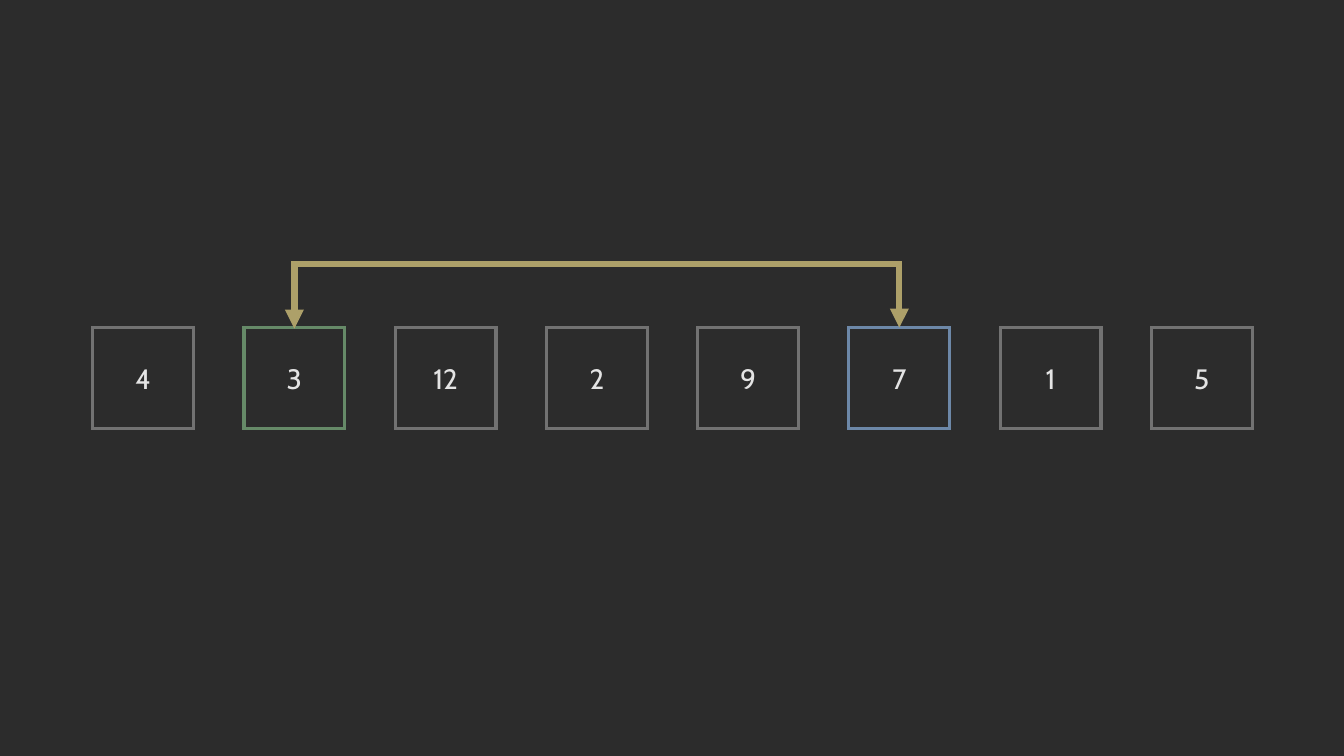
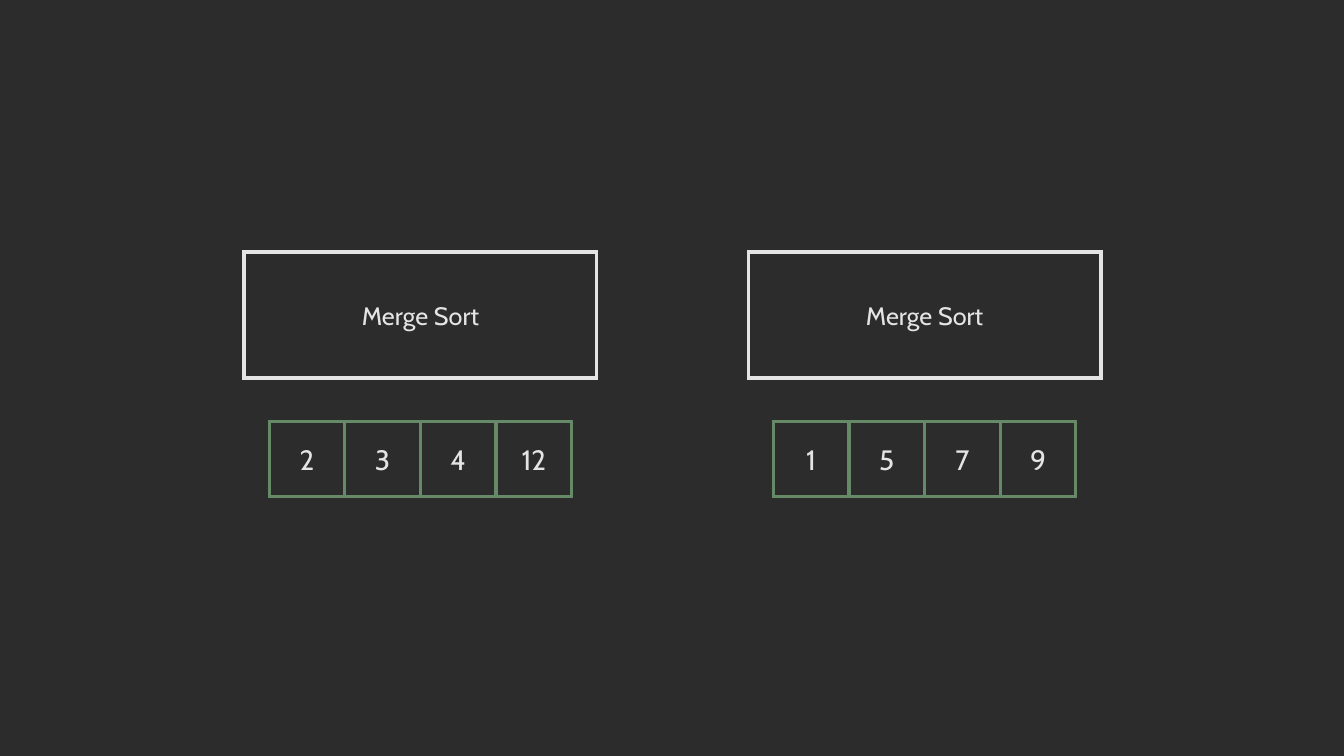
from dataclasses import dataclass

from lxml.etree import SubElement
from pptx import Presentation
from pptx.dml.color import RGBColor
from pptx.dml.line import LineFormat
from pptx.enum.shapes import MSO_CONNECTOR, MSO_SHAPE
from pptx.enum.text import MSO_ANCHOR, PP_ALIGN
from pptx.oxml.ns import qn
from pptx.slide import Slide
from pptx.util import Inches, Pt

COLORS = {
    "background": "2C2C2C",
    "text": "E4E4E4",
    "plain": "727272",
    "green": "668A68",
    "blue": "6D88A8",
    "arrow": "ADA069",
}
FONT_FORMAT = {"name": "Cabin", "bold": False}
FRAME_FORMAT = {"vertical_anchor": MSO_ANCHOR.MIDDLE, "word_wrap": True}
BOX_LINE_WIDTH = 2.25
ARROW_LINE_WIDTH = 4.5


@dataclass(frozen=True)
class Box:
    text: str
    left: float
    top: float
    width: float
    height: float
    outline: str
    fill: str | None = None
    font_size: float = 20


@dataclass(frozen=True)
class CellRow:
    values: tuple[int, ...]
    left: float
    top: float
    size: float
    pitch: float
    outline: str
    highlights: tuple[tuple[int, str], ...] = ()


@dataclass(frozen=True)
class SwapArrow:
    start_x: float
    end_x: float
    start_y: float
    end_y: float
    bend_y: float


def color(name: str) -> RGBColor:
    return RGBColor.from_string(COLORS[name])


def apply_format(target: object, values: dict[str, object]) -> None:
    for name, value in values.items():
        setattr(target, name, value)


def style_line(line: LineFormat, color_name: str, width: float) -> None:
    line.color.rgb = color(color_name)
    line.width = Pt(width)
    SubElement(line._get_or_add_ln(), qn("a:miter"), lim="800000")


def draw_box(slide: Slide, box: Box) -> None:
    shape = slide.shapes.add_shape(
        MSO_SHAPE.RECTANGLE,
        Inches(box.left), Inches(box.top), Inches(box.width), Inches(box.height),
    )
    shape.shadow.inherit = False
    if box.fill:
        shape.fill.solid()
        shape.fill.fore_color.rgb = color(box.fill)
    else:
        shape.fill.background()
    style_line(shape.line, box.outline, BOX_LINE_WIDTH)
    apply_format(shape.text_frame, FRAME_FORMAT)
    paragraph = shape.text_frame.paragraphs[0]
    paragraph.alignment = PP_ALIGN.CENTER
    run = paragraph.add_run()
    run.text = box.text
    apply_format(run.font, FONT_FORMAT | {"size": Pt(box.font_size)})
    run.font.color.rgb = color("text")


def draw_cells(slide: Slide, row: CellRow) -> None:
    highlights = dict(row.highlights)
    for index, value in enumerate(row.values):
        left = row.left + index * row.pitch
        outline = highlights.get(value, row.outline)
        draw_box(slide, Box(str(value), left, row.top, row.size, row.size, outline))


def draw_swap_arrow(slide: Slide, arrow: SwapArrow) -> None:
    drop = arrow.start_y - arrow.end_y
    span = arrow.end_x - arrow.start_x
    left = (arrow.start_x + arrow.end_x - drop) / 2
    top = (arrow.start_y + arrow.end_y - span) / 2
    connector = slide.shapes.add_connector(
        MSO_CONNECTOR.ELBOW,
        Inches(left), Inches(top), Inches(left + drop), Inches(top + span),
    )
    properties = connector._element.spPr
    transform = properties.find(qn("a:xfrm"))
    for name, value in {"rot": "5400000", "flipH": "1", "flipV": "1"}.items():
        transform.set(name, value)
    adjustments = properties.find(qn("a:prstGeom")).get_or_add_avLst()
    bend = round((arrow.start_y - arrow.bend_y) / drop * 100000)
    SubElement(adjustments, qn("a:gd"), name="adj1", fmla=f"val {bend}")
    style_line(connector.line, "arrow", ARROW_LINE_WIDTH)
    for end in ("a:headEnd", "a:tailEnd"):
        SubElement(connector.line._get_or_add_ln(), qn(end), type="triangle")
    SubElement(properties, qn("a:effectLst"))


def build_swap_slide(slide: Slide) -> None:
    row = CellRow(
        (4, 3, 12, 2, 9, 7, 1, 5), 0.92, 3.25, 1, 1.5, "plain",
        ((3, "green"), (7, "blue")),
    )
    draw_cells(slide, row)
    start_x, end_x = (
        row.left + row.values.index(value) * row.pitch + row.size / 2
        for value, _ in row.highlights
    )
    draw_swap_arrow(slide, SwapArrow(start_x, end_x, row.top + 0.01, row.top, 2.61))


def build_merge_slide(slide: Slide) -> None:
    halves = ((2.42, (2, 3, 4, 12)), (7.42, (1, 5, 7, 9)))
    for left, values in halves:
        draw_cells(slide, CellRow(values, left + 0.25, 4.18, 0.75, 0.75, "green"))
        draw_box(
            slide,
            Box("Merge Sort", left, 2.5, 3.5, 1.25, "text", "background", 18),
        )


def main() -> None:
    presentation = Presentation()
    presentation.slide_width = Inches(13.33)
    presentation.slide_height = Inches(7.5)
    background = presentation.slide_master.background.fill
    background.solid()
    background.fore_color.rgb = color("background")
    blank_layout = presentation.slide_layouts[6]
    for build in (build_swap_slide, build_merge_slide):
        build(presentation.slides.add_slide(blank_layout))
    presentation.save("out.pptx")


if __name__ == "__main__":
    main()
